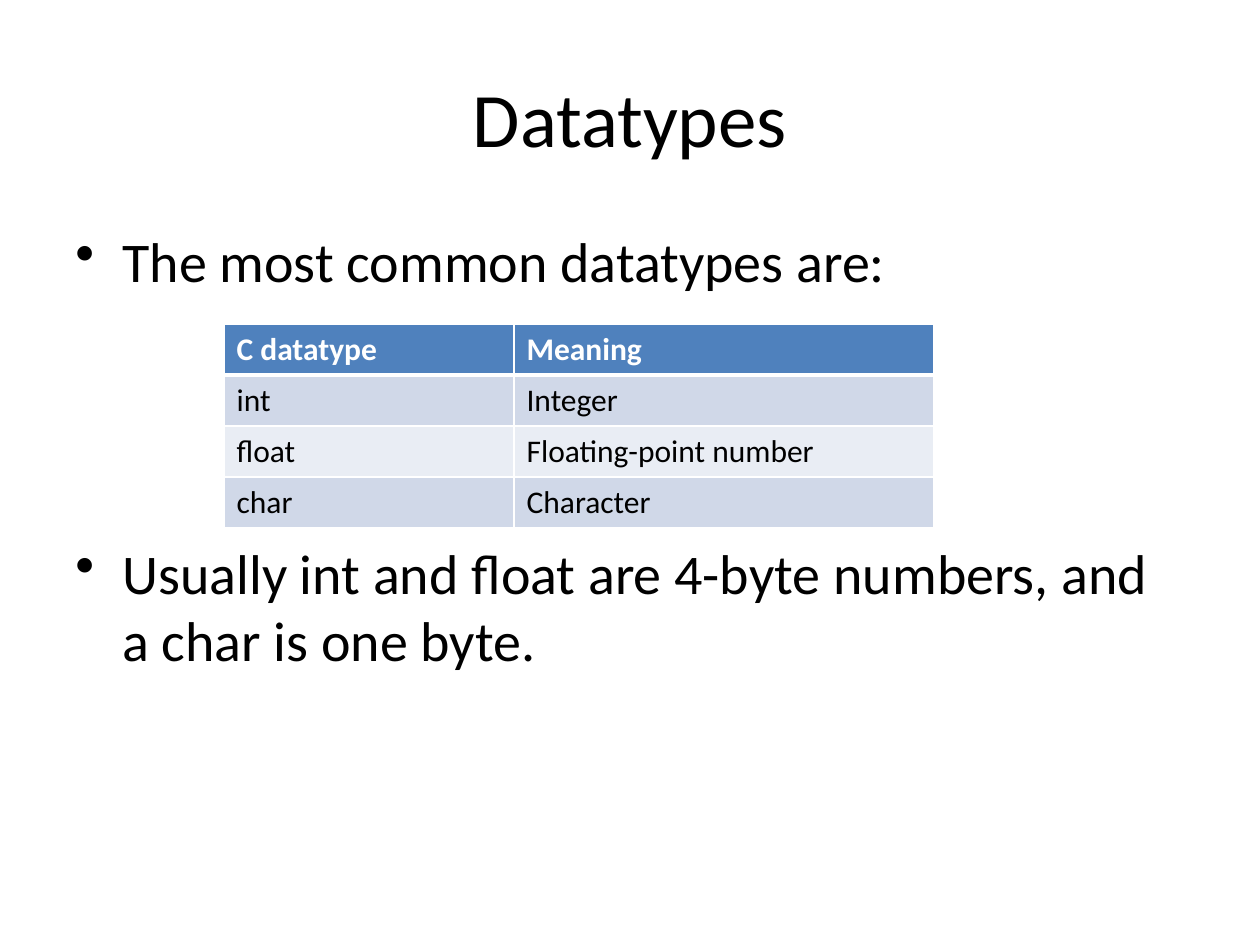
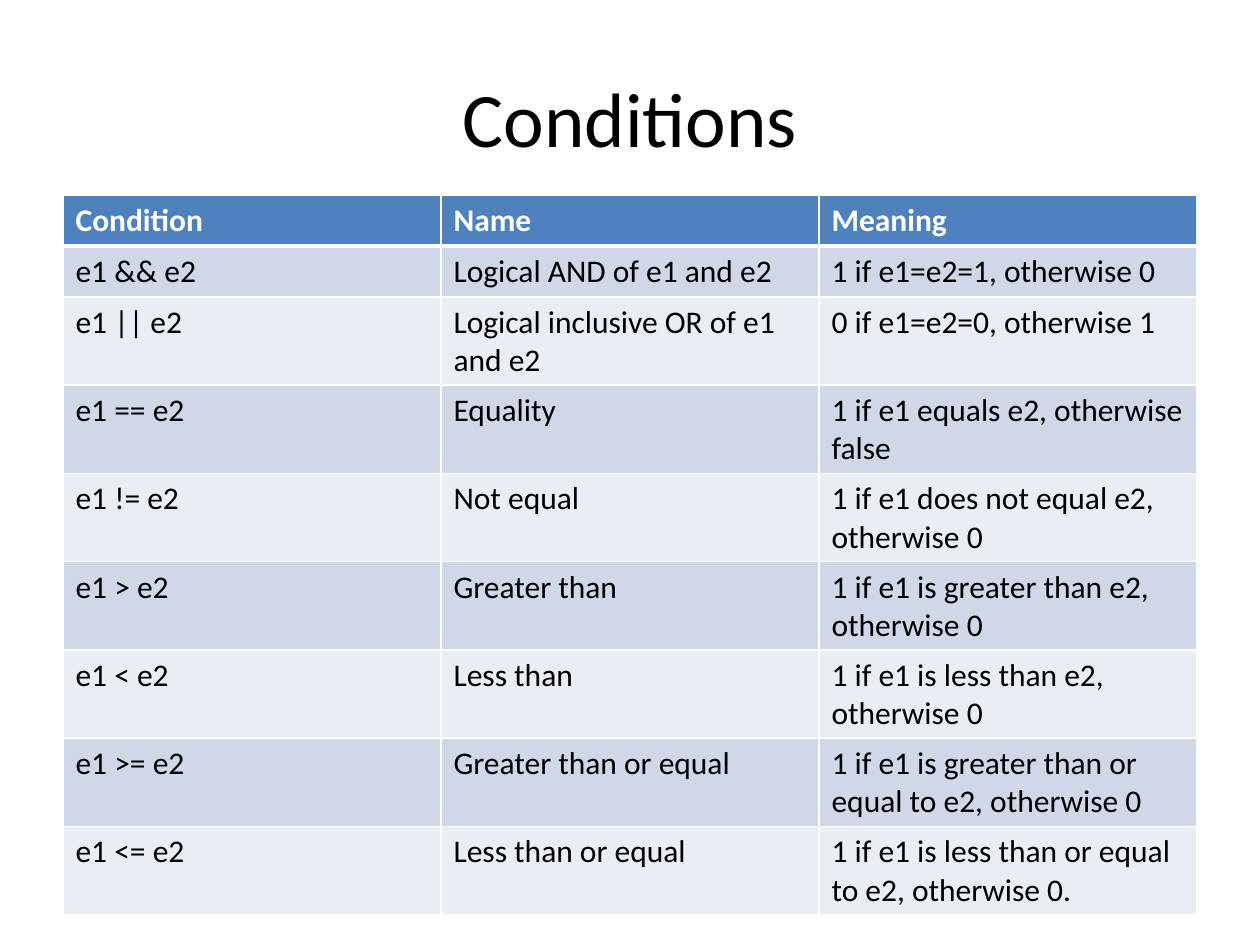
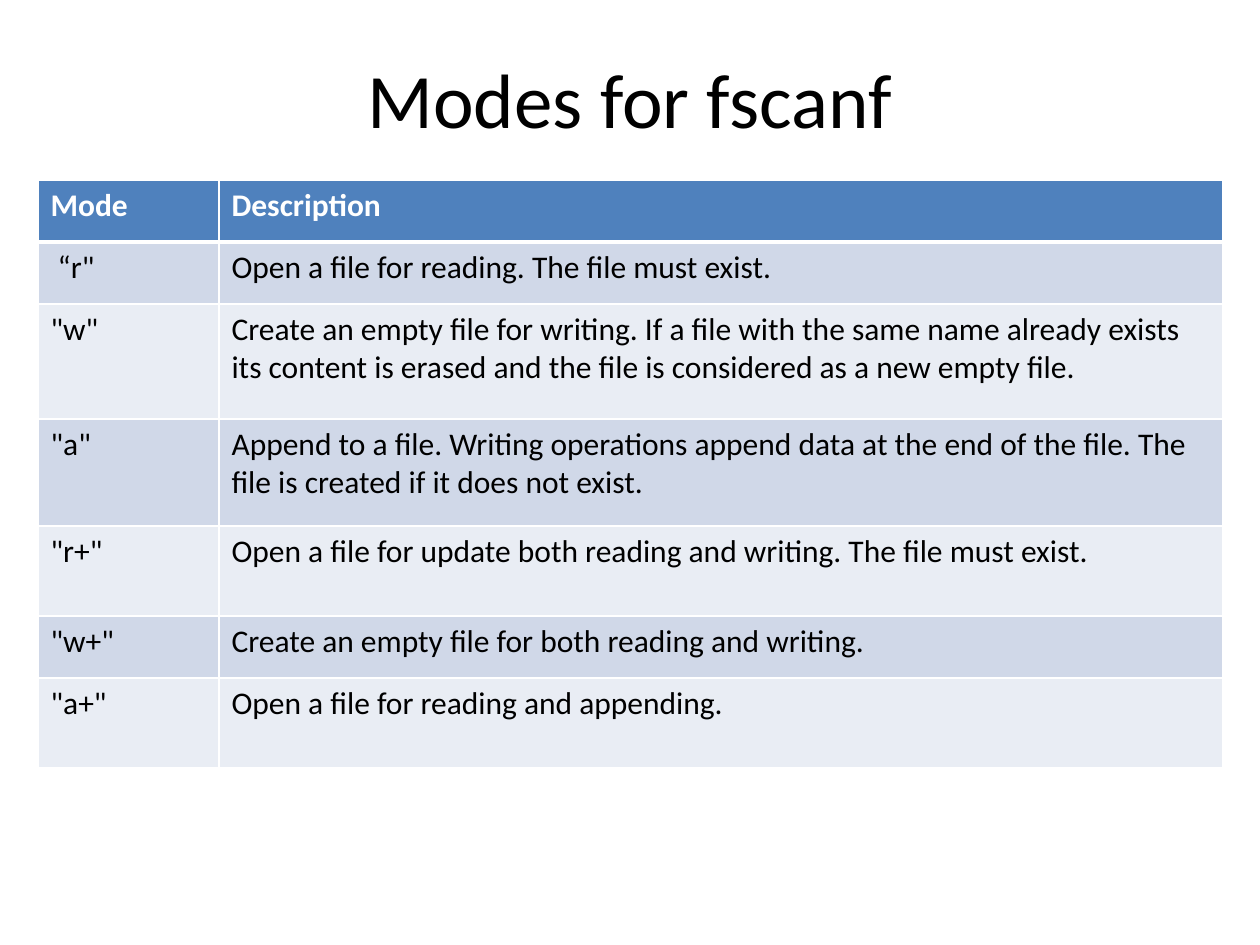
from dataclasses import dataclass

from lxml import etree
from pptx import Presentation
from pptx import util as u
from pptx.dml.color import RGBColor
from pptx.enum import text
from pptx.oxml import ns

SCALE = u.Inches(1) / 126


@dataclass(frozen=True)
class Theme:
    font: str = "Calibri"
    ink: str = "000000"
    paper: str = "FFFFFF"
    header: str = "4F81BD"
    bands: tuple = ("D0D8E8", "E9EDF4")
    title_size: int = 44
    body_size: int = 32
    table_size: int = 18
    rule: int = 1
    header_rule: int = 3


THEME = Theme()
ROW = 51

DATATYPES = [
    ("C datatype", "Meaning"),
    ("int", "Integer"),
    ("float", "Floating-point number"),
    ("char", "Character"),
]
CONDITIONS = [
    ("Condition", "Name", "Meaning"),
    ("e1 && e2", "Logical AND of e1 and e2", "1 if e1=e2=1, otherwise 0"),
    ("e1 || e2", "Logical inclusive OR of e1 and e2", "0 if e1=e2=0, otherwise 1"),
    ("e1 == e2", "Equality", "1 if e1 equals e2, otherwise false"),
    ("e1 != e2", "Not equal", "1 if e1 does not equal e2, otherwise 0"),
    ("e1 > e2", "Greater than", "1 if e1 is greater than e2, otherwise 0"),
    ("e1 < e2", "Less than", "1 if e1 is less than e2, otherwise 0"),
    ("e1 >= e2", "Greater than or equal",
     "1 if e1 is greater than or equal to e2, otherwise 0"),
    ("e1 <= e2", "Less than or equal",
     "1 if e1 is less than or equal to e2, otherwise 0."),
]
MODES = [
    ("Mode", "Description"),
    (' “r"', "Open a file for reading. The file must exist."),
    ('"w"', "Create an empty file for writing. If a file with the same name already "
            "exists its content is erased and the file is considered as a new empty file."),
    ('"a"', "Append to a file. Writing operations append data at the end of the file. "
            "The file is created if it does not exist."),
    ('"r+"', "Open a file for update both reading and writing. The file must exist."),
    ('"w+"', "Create an empty file for both reading and writing."),
    ('"a+"', "Open a file for reading and appending."),
]


def px(length):
    return u.Emu(round(length * SCALE))


def style(para, size, color=THEME.ink, bold=False):
    font = para.font
    font.name, font.size, font.bold = THEME.font, u.Pt(size), bold
    font.color.rgb = RGBColor.from_string(color)


def add_text_frame(page, box):
    frame = page.shapes.add_textbox(*map(px, box)).text_frame
    frame.word_wrap = True
    return frame


def add_title(page, words, top=38):
    frame = add_text_frame(page, (63, top, 1134, 157))
    frame.vertical_anchor = text.MSO_ANCHOR.MIDDLE
    para = frame.paragraphs[0]
    para.text = words
    para.alignment = text.PP_ALIGN.CENTER
    style(para, THEME.title_size)


def add_bullets(page, box, items):
    """Items are (words, points of space before)."""
    frame = add_text_frame(page, box)
    for index, (words, space) in enumerate(items):
        para = frame.add_paragraph() if index else frame.paragraphs[0]
        para.text = words
        para.space_before = u.Pt(space)
        style(para, THEME.body_size)
        props = para._p.get_or_add_pPr()
        props.set("marL", str(px(47)))
        props.set("indent", str(-px(47)))
        bullet = etree.Element(ns.qn("a:buChar"), char="•")
        props.insert_element_before(bullet, "a:tabLst", "a:defRPr", "a:extLst")


def add_borders(cell, top, bottom):
    props = cell._tc.get_or_add_tcPr()
    sides = {"L": THEME.rule, "R": THEME.rule, "T": top, "B": bottom}
    for side, points in sides.items():
        line = etree.SubElement(props, ns.qn(f"a:ln{side}"), w=str(u.Pt(points)))
        fill = etree.SubElement(line, ns.qn("a:solidFill"))
        etree.SubElement(fill, ns.qn("a:srgbClr"), val=THEME.paper)


def fill_cell(cell, words, row):
    is_header = row == 0
    add_borders(cell,
                top=THEME.header_rule if row == 1 else THEME.rule,
                bottom=THEME.header_rule if is_header else THEME.rule)
    cell.fill.solid()
    color = THEME.header if is_header else THEME.bands[(row - 1) % 2]
    cell.fill.fore_color.rgb = RGBColor.from_string(color)
    cell.text = words
    style(cell.text_frame.paragraphs[0], THEME.table_size,
          THEME.paper if is_header else THEME.ink, is_header)


def add_grid(page, left, top, widths, rows, heights=None):
    """Rows without given heights start at one line and grow with their text."""
    heights = heights or [ROW] * len(rows)
    box = (left, top, sum(widths), sum(heights))
    table = page.shapes.add_table(len(rows), len(widths), *map(px, box)).table
    for column, width in zip(table.columns, widths):
        column.width = px(width)
    for index, (row, height) in enumerate(zip(table.rows, heights)):
        row.height = px(height)
        for cell, words in zip(row.cells, rows[index]):
            fill_cell(cell, words, index)


def build_datatypes(page):
    add_title(page, "Datatypes")
    add_bullets(page, (63, 220, 1134, 624), [
        ("The most common datatypes are:", 6),
        ("Usually int and float are 4-byte numbers, and a char is one byte.", 140),
    ])
    add_grid(page, 224, 324, [290, 420], DATATYPES)


def build_conditions(page):
    add_title(page, "Conditions")
    add_grid(page, 63, 195, [378] * 3, CONDITIONS)


def build_modes(page):
    add_title(page, "Modes for fscanf", top=19)
    add_grid(page, 38, 180, [181, 1004], MODES, [62, 62, 115, 107, 90, 62, 90])


def main():
    deck = Presentation()
    deck.slide_width, deck.slide_height = px(1260), px(945)
    for build in (build_datatypes, build_conditions, build_modes):
        build(deck.slides.add_slide(deck.slide_layouts[6]))
    deck.save("out.pptx")


if __name__ == "__main__":
    main()
